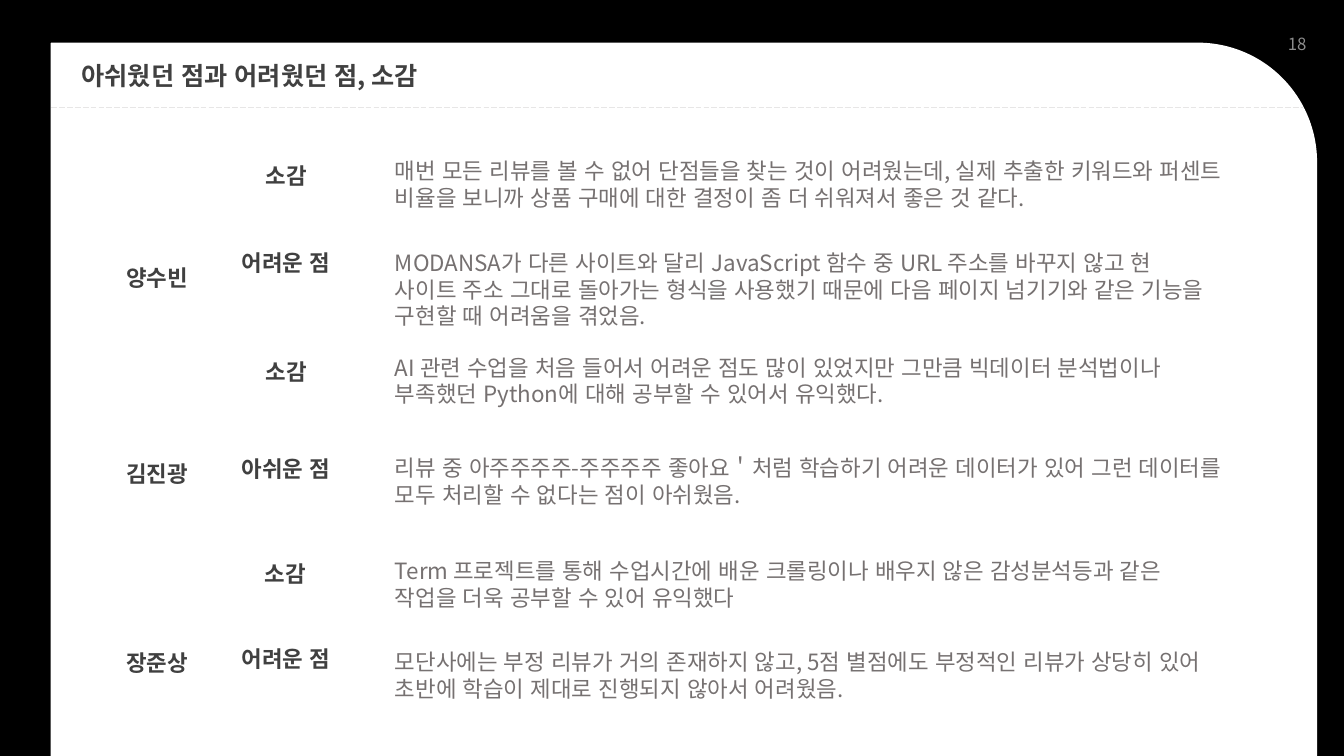
from lxml.etree import SubElement
from pptx import Presentation
from pptx.dml.color import RGBColor
from pptx.enum.dml import MSO_LINE as Dash
from pptx.enum.lang import MSO_LANGUAGE_ID as Lang
from pptx.enum.shapes import MSO_CONNECTOR as Conn, MSO_SHAPE as Kind
from pptx.enum.text import MSO_ANCHOR as Anchor, PP_ALIGN as Align
from pptx.oxml.ns import qn
from pptx.util import Inches, Pt

FONT = "Noto Sans CJK KR"
WHITE, DARK, GREY = "FFFFFF", "404040", "767171"
BASE = {"name": FONT, "language_id": Lang.KOREAN}
HEAD = {"size": Pt(16), "bold": True}
BODY = {"size": Pt(16), "bold": False}

# Columns as (left, width) in inches
NAME, MID, LEFT, NOTE = (1.05, 1.02), (2.38, 0.92), (2.3, 1.32), (3.82, 8.52)

# Speaker names: top, text
NAMES = [(2.57, "양수빈"), (4.52, "김진광"), (6.39, "장준상")]

# Rows: label column, alignment, label top, label, note top, note
ROWS = [
    (MID, Align.CENTER, 1.56, "소감", 1.51,
     "매번 모든 리뷰를 볼 수 없어 단점들을 찾는 것이 어려웠는데, 실제 추출한 키워드와 퍼센트 "
     "비율을 보니까 상품 구매에 대한 결정이 좀 더 쉬워져서 좋은 것 같다."),
    (LEFT, Align.LEFT, 2.42, "어려운 점", 2.42,
     "MODANSA가 다른 사이트와 달리 JavaScript 함수 중 URL 주소를 바꾸지 않고 현\v"
     "사이트 주소 그대로 돌아가는 형식을 사용했기 때문에 다음 페이지 넘기기와 같은 기능을\v"
     "구현할 때 어려움을 겪었음."),
    (MID, Align.CENTER, 3.5, "소감", 3.46,
     "AI 관련 수업을 처음 들어서 어려운 점도 많이 있었지만 그만큼 빅데이터 분석법이나 "
     "부족했던 Python에 대해 공부할 수 있어서 유익했다."),
    (LEFT, Align.LEFT, 4.47, "아쉬운 점", 4.46,
     "리뷰 중 아주주주주-주주주주 좋아요＇처럼 학습하기 어려운 데이터가 있어 그런 데이터를 "
     "모두 처리할 수 없다는 점이 아쉬웠음."),
    ((2.53, 0.92), Align.LEFT, 5.51, "소감", 5.48,
     "Term 프로젝트를 통해 수업시간에 배운 크롤링이나 배우지 않은 감성분석등과 같은\v"
     "작업을 더욱 공부할 수 있어 유익했다"),
    (LEFT, Align.LEFT, 6.35, "어려운 점", 6.38,
     "모단사에는 부정 리뷰가 거의 존재하지 않고, 5점 별점에도 부정적인 리뷰가 상당히 있어 "
     "초반에 학습이 제대로 진행되지 않아서 어려웠음."),
]


def paint(color, tone):
    color.rgb = RGBColor.from_string(tone)


def add_text(slide, col, top, text, style, tone, align=Align.LEFT,
             high=0.37, anchor=Anchor.TOP):
    left, wide = col
    box = slide.shapes.add_textbox(*map(Inches, (left, top, wide, high)))
    frame = box.text_frame
    frame.word_wrap = True
    frame.vertical_anchor = anchor
    para = frame.paragraphs[0]
    para.text = text
    para.alignment = align
    for run in para.runs:
        for key, value in {**BASE, **style}.items():
            setattr(run.font, key, value)
        paint(run.font.color, tone)
        SubElement(run.font._element, qn("a:ea"), typeface=FONT)


def add_card(slide):
    card = slide.shapes.add_shape(
        Kind.ROUND_1_RECTANGLE, *map(Inches, (0.51, 0.43, 12.55, 7.07)))
    card.shadow.inherit = False
    card.fill.solid()
    paint(card.fill.fore_color, WHITE)
    paint(card.line.color, WHITE)
    card.line.width = Pt(1)


def add_rule(slide):
    rule = slide.shapes.add_connector(
        Conn.STRAIGHT, *map(Inches, (0.51, 1.07, 12.94, 1.07)))
    paint(rule.line.color, "E7E6E6")
    rule.line.width = Pt(0.5)
    rule.line.dash_style = Dash.LONG_DASH
    SubElement(rule._element.spPr, qn("a:effectLst"))


def main():
    deck = Presentation()
    deck.slide_width, deck.slide_height = Inches(40 / 3), Inches(7.5)
    slide = deck.slides.add_slide(deck.slide_layouts[6])
    slide.background.fill.solid()
    paint(slide.background.fill.fore_color, "000000")

    # Card, page number and title
    add_card(slide)
    add_rule(slide)
    add_text(slide, (10.06, 3), 0.23, "18", {"size": Pt(12)}, "8C8C8C",
             Align.RIGHT, 0.4, Anchor.MIDDLE)
    add_text(slide, (0.71, 4.68), 0.55, "아쉬웠던 점과 어려웠던 점, 소감",
             {"size": Pt(18), "bold": True}, DARK, high=0.4)

    # Names, then labels with their notes
    for top, name in NAMES:
        add_text(slide, NAME, top, name, HEAD, DARK, Align.CENTER)
    for col, align, top, label, line, note in ROWS:
        add_text(slide, col, top, label, HEAD, DARK, align)
        add_text(slide, NOTE, line, note, BODY, GREY, high=0.64)

    deck.save("out.pptx")


if __name__ == "__main__":
    main()
